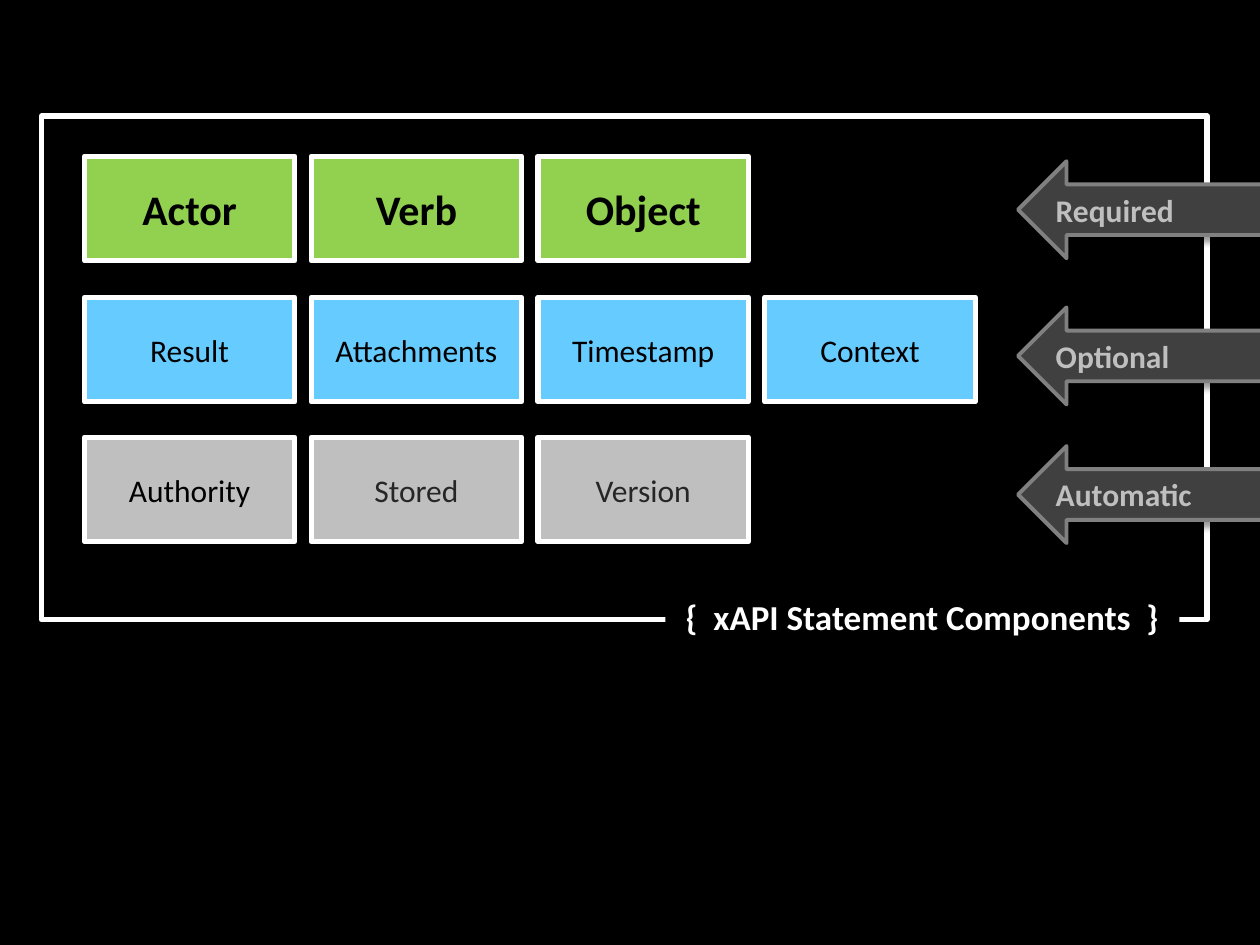
import pptx
import pptx.util
import pptx.dml.color
import pptx.enum.shapes
import pptx.enum.text
import pptx.oxml

Inches = pptx.util.Inches
SHAPE = pptx.enum.shapes.MSO_SHAPE
ALIGN = pptx.enum.text.PP_ALIGN
ANCHOR = pptx.enum.text.MSO_ANCHOR
AUTO = pptx.enum.text.MSO_AUTO_SIZE

SHADOW = (
    '<a:effectLst xmlns:a="http://schemas.openxmlformats.org/drawingml/2006/main">'
    '<a:outerShdw blurRad="50800" dist="38100" dir="5400000" rotWithShape="0">'
    '<a:srgbClr val="000000"><a:alpha val="40000"/></a:srgbClr>'
    '</a:outerShdw></a:effectLst>'
)


def rgb(value):
    return pptx.dml.color.RGBColor.from_string(value)


class StatementSlide:
    font = "Calibri"
    white = "FFFFFF"
    black = "000000"

    def __init__(self, s):
        self.s = s
        s.background.fill.solid()
        s.background.fill.fore_color.rgb = rgb(self.black)

    def shape(self, shapes, kind, at, fill=None, line=None, width=3):
        sp = shapes.add_shape(kind, *[Inches(v) for v in at])
        sp.shadow.inherit = False
        if fill:
            sp.fill.solid()
            sp.fill.fore_color.rgb = rgb(fill)
        else:
            sp.fill.background()
        if line:
            sp.line.color.rgb = rgb(line)
            sp.line.width = pptx.util.Pt(width)
        else:
            sp.line.fill.background()
        return sp

    def text(self, sp, text, size, color, bold=False, align=ALIGN.CENTER):
        p = sp.text_frame.paragraphs[0]
        p.alignment = align
        r = p.add_run()
        r.text = text
        style = {"name": self.font, "size": pptx.util.Pt(size), "bold": bold}
        for name, value in style.items():
            setattr(r.font, name, value)
        r.font.color.rgb = rgb(color)

    def frame(self, at):
        self.shape(self.s.shapes, SHAPE.RECTANGLE, at, line=self.white)

    def row(self, top, fill, size, bold, cells):
        group = self.s.shapes.add_group_shape()
        for i, (label, color) in enumerate(cells):
            at = (0.67 + 1.8 * i, top, 1.67, 0.83)
            sp = self.shape(group.shapes, SHAPE.RECTANGLE, at, fill, self.white)
            self.text(sp, label, size, color, bold)

    def caption(self, at, label):
        sp = self.shape(self.s.shapes, SHAPE.RECTANGLE, at, self.black)
        self.text(sp, label, 20, self.white, True)

    def arrow(self, top, label):
        at = (8.08, top, 2, 0.77)
        sp = self.shape(self.s.shapes, SHAPE.LEFT_ARROW, at, "404040", "808080", 2.25)
        sp.adjustments[0] = 0.522
        sp.adjustments[1] = 0.5
        effects = sp._element.spPr.find(pptx.oxml.ns.qn("a:effectLst"))
        sp._element.spPr.replace(effects, pptx.oxml.parse_xml(SHADOW))
        sp.text_frame.vertical_anchor = ANCHOR.TOP
        sp.text_frame.auto_size = AUTO.SHAPE_TO_FIT_TEXT
        self.text(sp, label, 18, "BFBFBF", True, ALIGN.LEFT)


def main():
    prs = pptx.Presentation()
    prs.slide_width = Inches(10)
    prs.slide_height = Inches(7.5)
    slide = StatementSlide(prs.slides.add_slide(prs.slide_layouts[6]))
    black, gray = "000000", "262626"

    slide.frame((0.33, 0.92, 9.25, 4))
    slide.row(1.24, "92D050", 24, True,
              [("Actor", black), ("Verb", black), ("Object", black)])
    slide.row(2.36, "66CCFF", 18, False,
              [("Result", black), ("Attachments", black),
               ("Timestamp", black), ("Context", black)])
    slide.row(3.47, "BFBFBF", 18, False,
              [("Authority", black), ("Stored", gray), ("Version", gray)])
    slide.caption((5.28, 4.68, 4.08, 0.42), "{  xAPI Statement Components  }")
    for top, label in [(1.28, "Required"), (2.44, "Optional"), (3.54, "Automatic")]:
        slide.arrow(top, label)

    prs.save("out.pptx")


if __name__ == "__main__":
    main()
